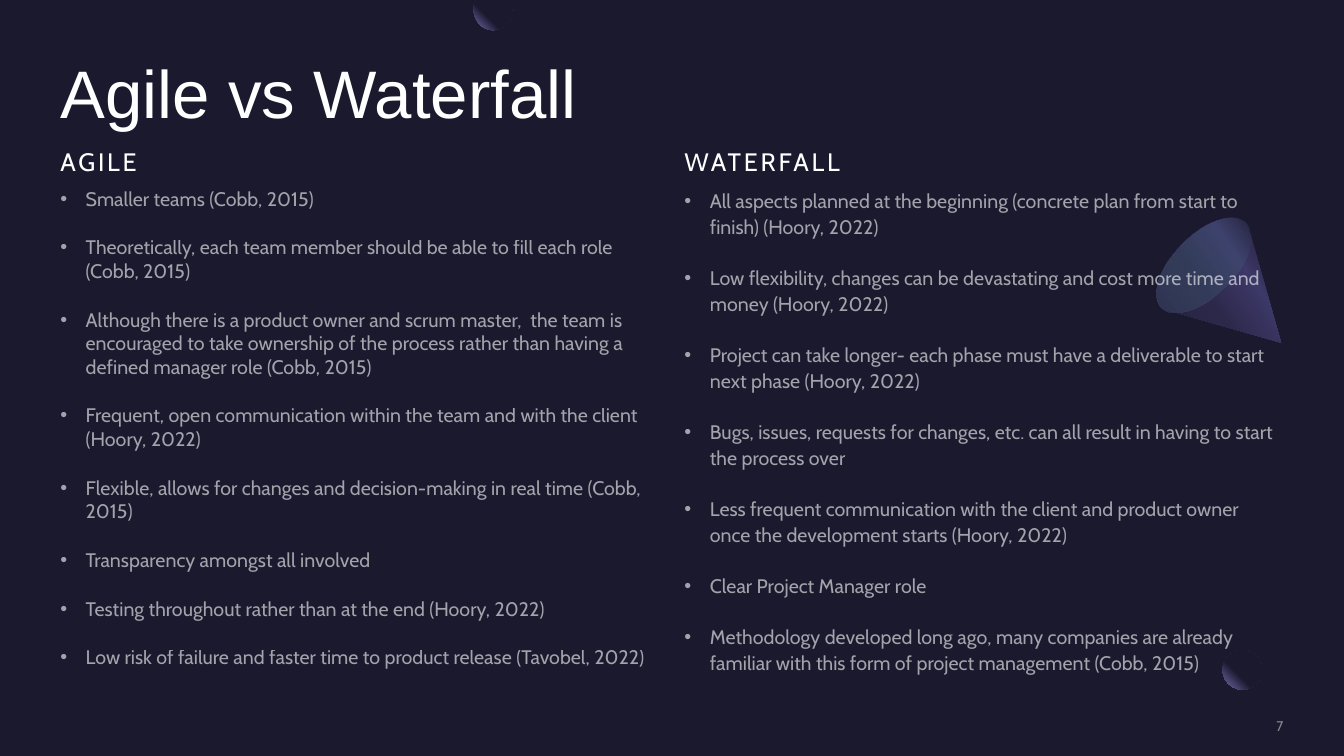
import math

from pptx import Presentation
from pptx.dml.color import RGBColor
from pptx.enum.shapes import MSO_SHAPE
from pptx.enum.text import MSO_ANCHOR, PP_ALIGN
from pptx.oxml import parse_xml
from pptx.oxml.ns import nsdecls, qn
from pptx.util import Cm, Pt

OVAL, RECTANGLE = MSO_SHAPE.OVAL, MSO_SHAPE.RECTANGLE
TOP, MIDDLE, BOTTOM = MSO_ANCHOR.TOP, MSO_ANCHOR.MIDDLE, MSO_ANCHOR.BOTTOM
LEFT, RIGHT = PP_ALIGN.LEFT, PP_ALIGN.RIGHT

# Content
TITLE = "Agile vs Waterfall"
PAGE_NUMBER = "7"
COLUMNS = [
    {"heading": "AGILE", "line_spacing": 1.0, "points": [
        "Smaller teams (Cobb, 2015)",
        "Theoretically, each team member should be able to fill each role (Cobb, 2015)",
        "Although there is a product owner and scrum master,  the team is encouraged to take "
        "ownership of the process rather than having a defined manager role (Cobb, 2015)",
        "Frequent, open communication within the team and with the client (Hoory, 2022)",
        "Flexible, allows for changes and decision-making in real time (Cobb, 2015)",
        "Transparency amongst all involved",
        "Testing throughout rather than at the end (Hoory, 2022)",
        "Low risk of failure and faster time to product release (Tavobel, 2022)",
    ]},
    {"heading": "WATERFALL", "line_spacing": 1.1, "points": [
        "All aspects planned at the beginning (concrete plan from start to finish) (Hoory, 2022)",
        "Low flexibility, changes can be devastating and cost more time and money (Hoory, 2022)",
        "Project can take longer- each phase must have a deliverable to start next phase "
        "(Hoory, 2022)",
        "Bugs, issues, requests for changes, etc. can all result in having to start "
        "the process over",
        "Less frequent communication with the client and product owner once the development "
        "starts (Hoory, 2022)",
        "Clear Project Manager role",
        "Methodology developed long ago, many companies are already familiar with this form "
        "of project management (Cobb, 2015)",
    ]},
]

# Style
COLORS = {"night": "1B192E", "white": "FFFFFF", "gray": "A6A6A6", "violet": "7771B2",
          "plum": "2C284A", "purple": "3C3867", "indigo": "454075", "mint": "5BEFC1"}
TITLE_FONT, BODY_FONT = "Arial", "Cabin"
# Gradient stops: position, colour, opacity in percent
GLOW = [(60, "night", 100), (100, "violet", 100)]
CONE_SIDE = [(30, "plum", 100), (40, "purple", 100), (60, "plum", 100), (100, "night", 100)]
CONE_BASE = [(0, "indigo", 33), (100, "mint", 0)]

# Outlines in cm: two numbers draw a line, six draw a curve
CONE = [(32.28, 8.64), (29.41, 7.82), (29.39, 7.82),
        (29.36, 7.8, 29.31, 7.77, 29.26, 7.75),
        (28.98, 7.42, 29.21, 6.73, 29.79, 6.15),
        (30.38, 5.56, 31.06, 5.33, 31.39, 5.61),
        (31.42, 5.66, 31.45, 5.69, 31.47, 5.74), (31.47, 5.77)]
CONE_CENTER, CONE_TURN = (31.04, 7.39), 135
CRESCENT = [(12.01, 0), (12.85, 0), (12.9, 0.08),
            (12.93, 0.13, 12.93, 0.2, 12.93, 0.25),
            (12.93, 0.53, 12.7, 0.76, 12.42, 0.76),
            (12.17, 0.76, 11.94, 0.53, 11.94, 0.25),
            (11.94, 0.2, 11.94, 0.13, 11.96, 0.08)]
CURVE_STEPS = 12

# Layout in cm
MARGIN, COLUMN_WIDTH, COLUMN_STEP = 1.52, 15.11, 15.73
HEADING_TOP, HEADING_HEIGHT = 3.61, 0.83
POINTS_TOP, POINTS_HEIGHT = 4.7, 13.54
INDENT = 0.64


def set_alpha(element, percent):
    color = element.find(".//" + qn("a:srgbClr"))
    color.append(parse_xml(f'<a:alpha {nsdecls("a")} val="{percent * 1000}"/>'))


def finish(shape, rotation=0):
    shape.shadow.inherit = False
    shape.line.fill.background()
    shape.rotation = rotation
    return shape


def fill_gradient(shape, stops, angle=None):
    """Linear when an angle is given, else circular from the top right corner."""
    stop_xml = "".join(
        f'<a:gs pos="{position * 1000}"><a:srgbClr val="{COLORS[name]}">'
        f'<a:alpha val="{alpha * 1000}"/></a:srgbClr></a:gs>'
        for position, name, alpha in stops)
    if angle is None:
        direction = '<a:path path="circle"><a:fillToRect l="100000" b="100000"/></a:path>'
    else:
        direction = f'<a:lin ang="{angle * 60000}" scaled="0"/>'
    gradient = parse_xml(f'<a:gradFill {nsdecls("a")} rotWithShape="1">'
                         f'<a:gsLst>{stop_xml}</a:gsLst>{direction}</a:gradFill>')
    shape.fill.background()
    properties = shape._element.spPr
    properties.replace(properties.find(qn("a:noFill")), gradient)


def trace(outline):
    points = []
    for part in outline:
        if len(part) == 2:
            points.append(part)
            continue
        controls = [points[-1], part[0:2], part[2:4], part[4:6]]
        for step in range(1, CURVE_STEPS + 1):
            t = step / CURVE_STEPS
            weights = [(1 - t) ** 3, 3 * t * (1 - t) ** 2, 3 * t * t * (1 - t), t ** 3]
            points.append(tuple(sum(weight * control[axis]
                                    for weight, control in zip(weights, controls))
                                for axis in (0, 1)))
    return points


def turn_back(points, center, degrees):
    cosine, sine = math.cos(math.radians(degrees)), math.sin(math.radians(degrees))
    offsets = [(x - center[0], y - center[1]) for x, y in points]
    return [(center[0] + x * cosine + y * sine, center[1] - x * sine + y * cosine)
            for x, y in offsets]


def add_outline(slide, points, rotation=0):
    corners = [(Cm(x), Cm(y)) for x, y in points]
    builder = slide.shapes.build_freeform(*corners[0])
    builder.add_line_segments(corners[1:], close=True)
    return finish(builder.convert_to_shape(), rotation)


def add_preset(slide, kind, box, rotation=0):
    return finish(slide.shapes.add_shape(kind, *map(Cm, box)), rotation)


def add_text(slide, box, lines, size, font=BODY_FONT, color="white", alpha=100, anchor=TOP,
             align=LEFT, line_spacing=1.0, spaced=True, bullets=False, tracking=0):
    frame = slide.shapes.add_textbox(*map(Cm, box)).text_frame
    frame.word_wrap = True
    frame.vertical_anchor = anchor
    frame.margin_left = frame.margin_top = frame.margin_right = frame.margin_bottom = 0
    for index, line in enumerate(lines):
        paragraph = frame.add_paragraph() if index else frame.paragraphs[0]
        paragraph.alignment = align
        paragraph.line_spacing = line_spacing
        if spaced:
            paragraph.space_before, paragraph.space_after = Pt(10), Pt(8)
        if bullets:
            properties = paragraph._p.get_or_add_pPr()
            properties.set("marL", str(Cm(INDENT)))
            properties.set("indent", str(-Cm(INDENT)))
            properties.append(parse_xml(f'<a:buFont {nsdecls("a")} typeface="Arial"/>'))
            properties.append(parse_xml(f'<a:buChar {nsdecls("a")} char="•"/>'))
        run = paragraph.add_run()
        run.text = line
        run.font.name, run.font.size = font, Pt(size)
        run.font.color.rgb = RGBColor.from_string(COLORS[color])
        if alpha < 100:
            set_alpha(run._r, alpha)
        if tracking:
            run._r.get_or_add_rPr().set("spc", str(tracking * 100))


presentation = Presentation()
presentation.slide_width, presentation.slide_height = Cm(33.87), Cm(19.05)
slide = presentation.slides.add_slide(presentation.slide_layouts[6])
slide.background.fill.solid()
slide.background.fill.fore_color.rgb = RGBColor.from_string(COLORS["night"])

# Glowing ball in the lower right corner, with a veil beside it
fill_gradient(add_preset(slide, OVAL, (30.81, 16.38, 1, 1)), GLOW)
veil = add_preset(slide, RECTANGLE, (31.8, 16.18, 1.04, 1))
veil.fill.solid()
veil.fill.fore_color.rgb = RGBColor.from_string(COLORS["night"])
set_alpha(veil._element.spPr, 80)

# Cone
cone_points = turn_back(trace(CONE), CONE_CENTER, CONE_TURN)
fill_gradient(add_outline(slide, cone_points, CONE_TURN), CONE_SIDE, 10)
fill_gradient(add_preset(slide, OVAL, (29.59, 5.18, 1.5, 3), 225), CONE_BASE, 90)

# Title and the two columns
add_text(slide, (MARGIN, 1.52, 30.84, 2.01), [TITLE], 48, TITLE_FONT,
         line_spacing=0.9, spaced=False)
for index, column in enumerate(COLUMNS):
    left = MARGIN + index * COLUMN_STEP
    add_text(slide, (left, HEADING_TOP, COLUMN_WIDTH, HEADING_HEIGHT), [column["heading"]], 18,
             anchor=BOTTOM, line_spacing=1.1, tracking=2)
    add_text(slide, (left, POINTS_TOP, COLUMN_WIDTH, POINTS_HEIGHT), column["points"], 14,
             alpha=60, line_spacing=column["line_spacing"], bullets=True)

# Page number and crescent at the top edge
add_text(slide, (27.64, 18.08, 4.7, 0.43), [PAGE_NUMBER], 10, color="gray", alpha=80,
         anchor=MIDDLE, align=RIGHT, spaced=False)
fill_gradient(add_outline(slide, trace(CRESCENT)), GLOW)

presentation.save("out.pptx")
